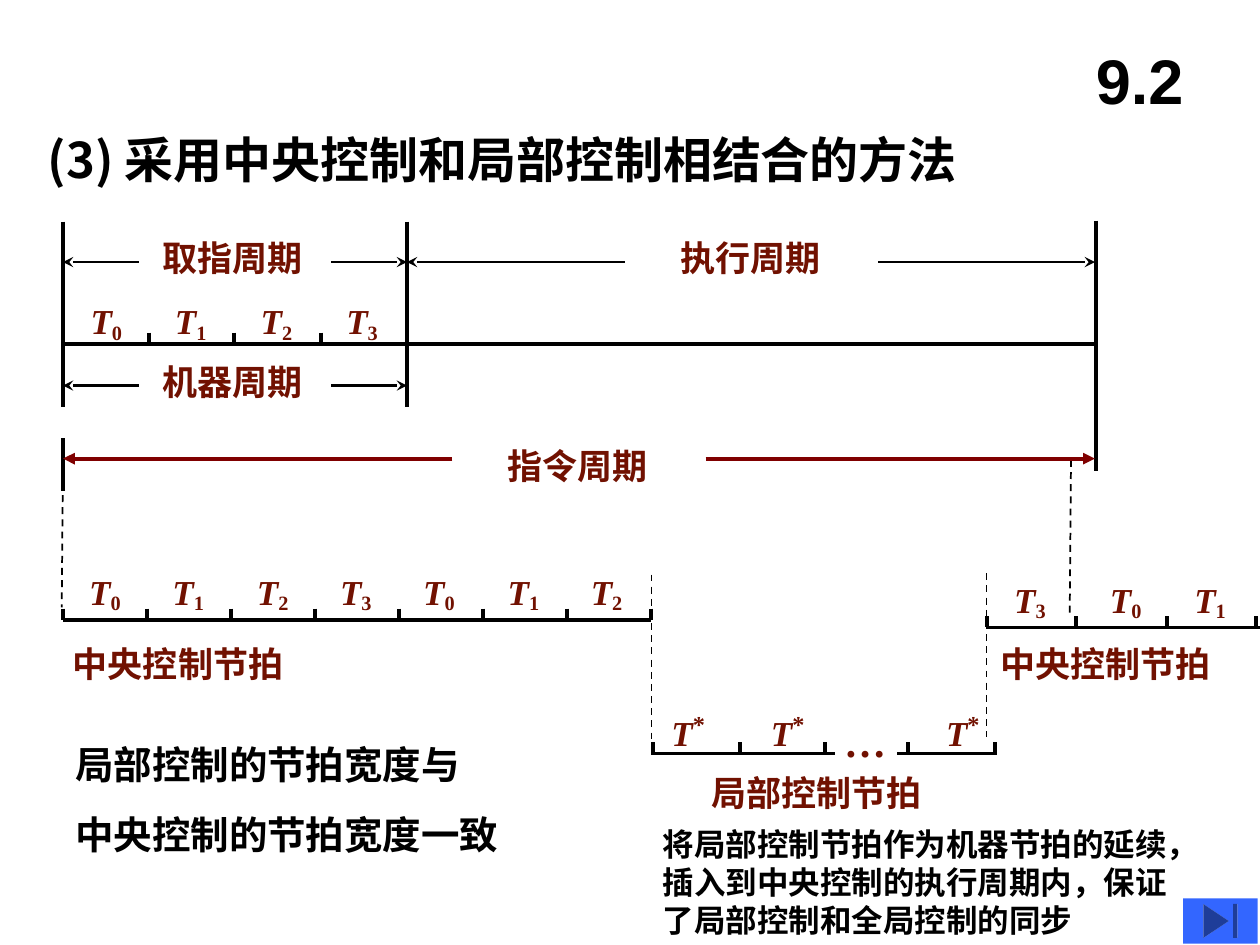
from dataclasses import dataclass

from lxml import etree
from pptx import Presentation
from pptx.dml.color import RGBColor
from pptx.enum import dml, shapes, text
from pptx.oxml import ns
from pptx.util import Inches, Pt

COLORS = {"ink": "000000", "label": "711101", "arrow": "800000", "button": "3366FF"}
SERIF, SANS, CJK = "Times New Roman", "Arial", "Noto Sans CJK SC"


@dataclass
class Stroke:
    start: tuple[float, float]
    end: tuple[float, float]
    weight: float = 2.25
    color: str = "ink"
    dashed: bool = False
    head: str = ""


@dataclass
class Ruler:
    """A time axis with upward ticks and T labels above it."""
    left: float
    right: float
    y: float
    ticks: list[float]
    labels: list[tuple[str, float]]
    label_top: float


def steps(start: float, gap: float, count: int) -> list[float]:
    return [round(start + gap * i, 2) for i in range(count)]


def draw_stroke(page, stroke: Stroke) -> None:
    line = page.shapes.add_connector(
        shapes.MSO_CONNECTOR.STRAIGHT,
        *(Inches(value) for value in (*stroke.start, *stroke.end)))
    line.line.width = Pt(stroke.weight)
    line.line.color.rgb = RGBColor.from_string(COLORS[stroke.color])
    if stroke.dashed:
        line.line.dash_style = dml.MSO_LINE.DASH
    properties = line._element.spPr
    if stroke.head:
        etree.SubElement(properties.find(ns.qn("a:ln")), ns.qn("a:tailEnd"), type=stroke.head)
    etree.SubElement(properties, ns.qn("a:effectLst"))


def add_span(para, words: str, *, size: float, color: str = "label", font: str = SERIF,
             italic: bool = False, baseline: int = 0) -> None:
    span = para.add_run()
    span.text = words
    span.font.size, span.font.name = Pt(size), font
    span.font.bold, span.font.italic = True, italic
    span.font.color.rgb = RGBColor.from_string(COLORS[color])
    properties = span._r.get_or_add_rPr()
    if baseline:
        properties.set("baseline", str(baseline * 1000))
    if any("\u4e00" <= letter <= "\u9fff" for letter in words):
        etree.SubElement(properties, ns.qn("a:ea"), typeface=CJK)
        para.line_spacing = Pt(round(size * 1.2, 1))


def place(box, left: float, top: float, width: float, height: float, wrap: bool):
    box.left, box.top, box.width, box.height = map(Inches, (left, top, width, height))
    frame = box.text_frame
    frame.word_wrap = wrap
    frame.auto_size = text.MSO_AUTO_SIZE.NONE
    frame.vertical_anchor = text.MSO_ANCHOR.TOP
    return frame


def add_text(page, words: str, left: float, top: float, width: float, height: float, *,
             box=None, wrap: bool = True, gap: float = 0, align=text.PP_ALIGN.LEFT,
             anchor=text.MSO_ANCHOR.TOP, **style) -> None:
    box = box or page.shapes.add_textbox(0, 0, 0, 0)
    frame = place(box, left, top, width, height, wrap)
    frame.vertical_anchor = anchor
    for index, line in enumerate(words.split("\n")):
        para = frame.add_paragraph() if index else frame.paragraphs[0]
        para.alignment = align
        para.space_before = Pt(gap if index else 0)
        add_span(para, line, **style)


def add_beat(page, mark: str, left: float, top: float) -> None:
    """Draw T with a subscript number or a raised star."""
    box = page.shapes.add_textbox(0, 0, 0, 0)
    para = place(box, left, top, 0.45, 0.45, False).paragraphs[0]
    add_span(para, "T", size=20, italic=True)
    star = mark == "*"
    add_span(para, mark, size=24 if star else 20, baseline=30 if star else -15)


def draw_ruler(page, ruler: Ruler) -> None:
    draw_stroke(page, Stroke((ruler.left, ruler.y), (ruler.right, ruler.y)))
    for x in ruler.ticks:
        draw_stroke(page, Stroke((x, ruler.y - 0.09), (x, ruler.y)))
    for mark, left in ruler.labels:
        add_beat(page, mark, left, ruler.label_top)


RULERS = [
    Ruler(0.5, 8.7, 2.73, steps(1.18, 0.685, 3),
          list(zip("0123", steps(0.62, 0.675, 4))), 2.33),
    Ruler(0.5, 5.17, 4.92, steps(0.5, 0.667, 8),
          list(zip("0123012", steps(0.61, 0.663, 7))), 4.48),
    Ruler(7.83, 10, 4.98, steps(7.83, 0.713, 4),
          [("3", 7.95), ("0", 8.71), ("1", 9.38)], 4.54),
    Ruler(5.17, 6.63, 5.98, steps(5.18, 0.685, 3), [("*", 5.23), ("*", 6.02)], 5.54),
    Ruler(7.12, 7.91, 5.98, [7.21, 7.9], [("*", 7.41)], 5.54),
]

STROKES = [
    # Period boundaries
    Stroke((0.5, 1.76), (0.5, 3.23)),
    Stroke((3.23, 1.76), (3.23, 3.23)),
    Stroke((8.7, 1.75), (8.7, 3.74)),
    Stroke((0.5, 3.48), (0.5, 3.9)),
    # Guides between the time axes
    Stroke((0.5, 3.64), (0.49, 4.82), 1, dashed=True),
    Stroke((8.5, 3.65), (8.49, 4.89), 1, dashed=True),
    Stroke((5.17, 4.56), (5.17, 5.87), 1, dashed=True),
    Stroke((7.83, 4.55), (7.83, 5.85), 1, dashed=True),
    # Execution period and instruction period
    Stroke((4.96, 2.08), (3.23, 2.08), 1.5, head="stealth"),
    Stroke((6.97, 2.08), (8.69, 2.08), 1.5, head="stealth"),
    Stroke((3.59, 3.64), (0.5, 3.64), color="arrow", head="triangle"),
    Stroke((5.6, 3.64), (8.69, 3.64), color="arrow", head="triangle"),
]
# Fetch period and machine period
for level in (2.08, 3.06):
    STROKES += [Stroke((1.1, level), (0.5, level), 1.5, head="stealth"),
                Stroke((2.63, level), (3.23, level), 1.5, head="stealth")]

LABELS = [
    ("取指周期", 1.19, 1.83, 1.31),
    ("执行周期", 5.3, 1.83, 1.31),
    ("机器周期", 1.19, 2.81, 1.31),
    ("指令周期", 3.93, 3.48, 1.31),
    ("中央控制节拍", 0.48, 5.05, 1.88),
    ("中央控制节拍", 7.84, 5.05, 1.88),
    ("局部控制节拍", 5.55, 6.07, 1.93),
]


def main() -> None:
    deck = Presentation()
    deck.slide_width, deck.slide_height = Inches(10), Inches(7.5)
    page = deck.slides.add_slide(deck.slide_layouts[5])

    # Heading and section number
    add_text(page, "(3) 采用中央控制和局部控制相结合的方法", 0.28, 0.98, 7.87, 0.57,
             box=page.shapes.title, size=28, color="ink", font=CJK)
    add_text(page, "9.2", 8.42, 0.17, 1.25, 0.92, align=text.PP_ALIGN.CENTER,
             anchor=text.MSO_ANCHOR.MIDDLE, size=36, color="ink", font=SANS)

    # Timing diagram
    for stroke in STROKES:
        draw_stroke(page, stroke)
    for ruler in RULERS:
        draw_ruler(page, ruler)
    for words, left, top, width in LABELS:
        add_text(page, words, left, top, width, 0.44, wrap=False, size=20)
    add_text(page, "…", 6.6, 5.63, 0.81, 0.5, size=24)

    # Remarks
    add_text(page, "局部控制的节拍宽度与\n中央控制的节拍宽度一致", 0.5, 5.83, 4.92, 1.03,
             gap=13.8, size=22, color="ink")
    add_text(page, "将局部控制节拍作为机器节拍的延续，插入到中央控制的执行周期内，"
             "保证了局部控制和全局控制的同步", 5.16, 6.5, 4.41, 1,
             size=18, color="ink", font=CJK)

    # Navigation button
    button = page.shapes.add_shape(shapes.MSO_SHAPE.ACTION_BUTTON_END, Inches(9.39),
                                   Inches(7.13), Inches(0.59), Inches(0.36))
    button.shadow.inherit = False
    button.fill.solid()
    button.fill.fore_color.rgb = RGBColor.from_string(COLORS["button"])
    button.line.fill.background()

    deck.save("out.pptx")


if __name__ == "__main__":
    main()
